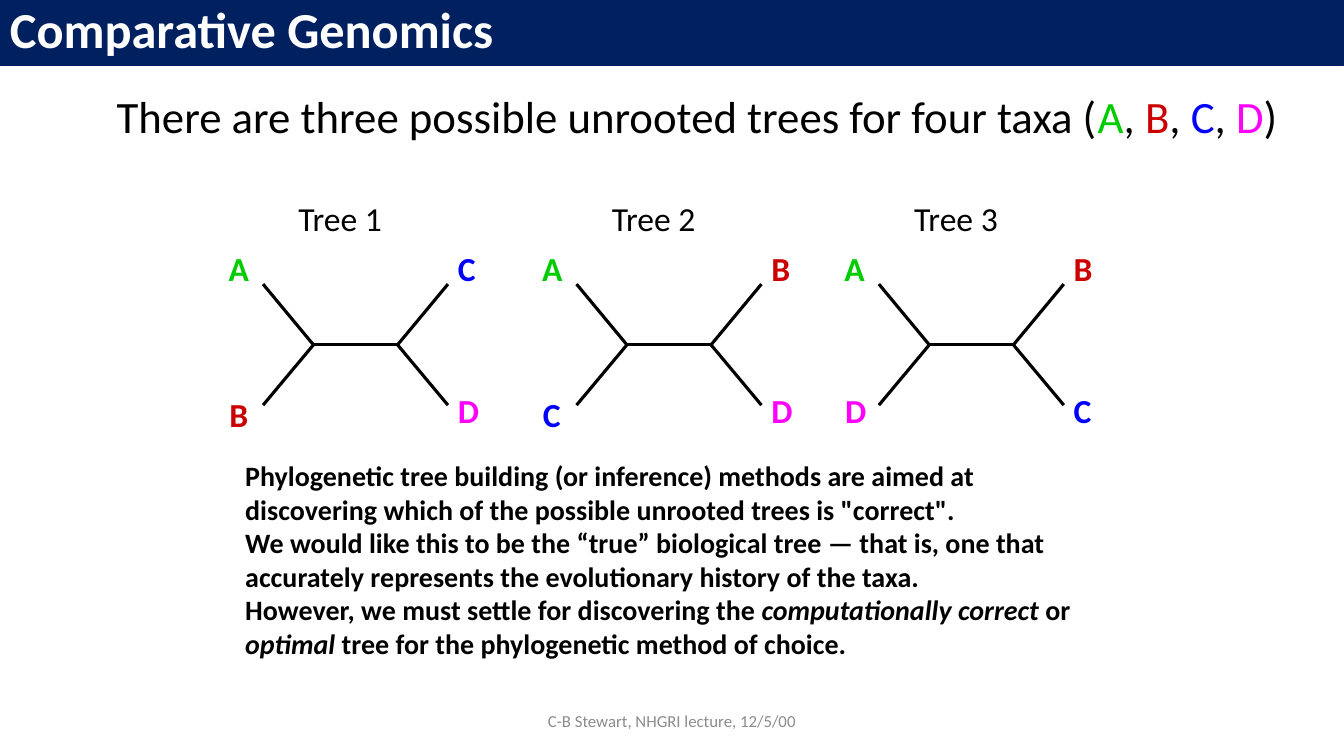
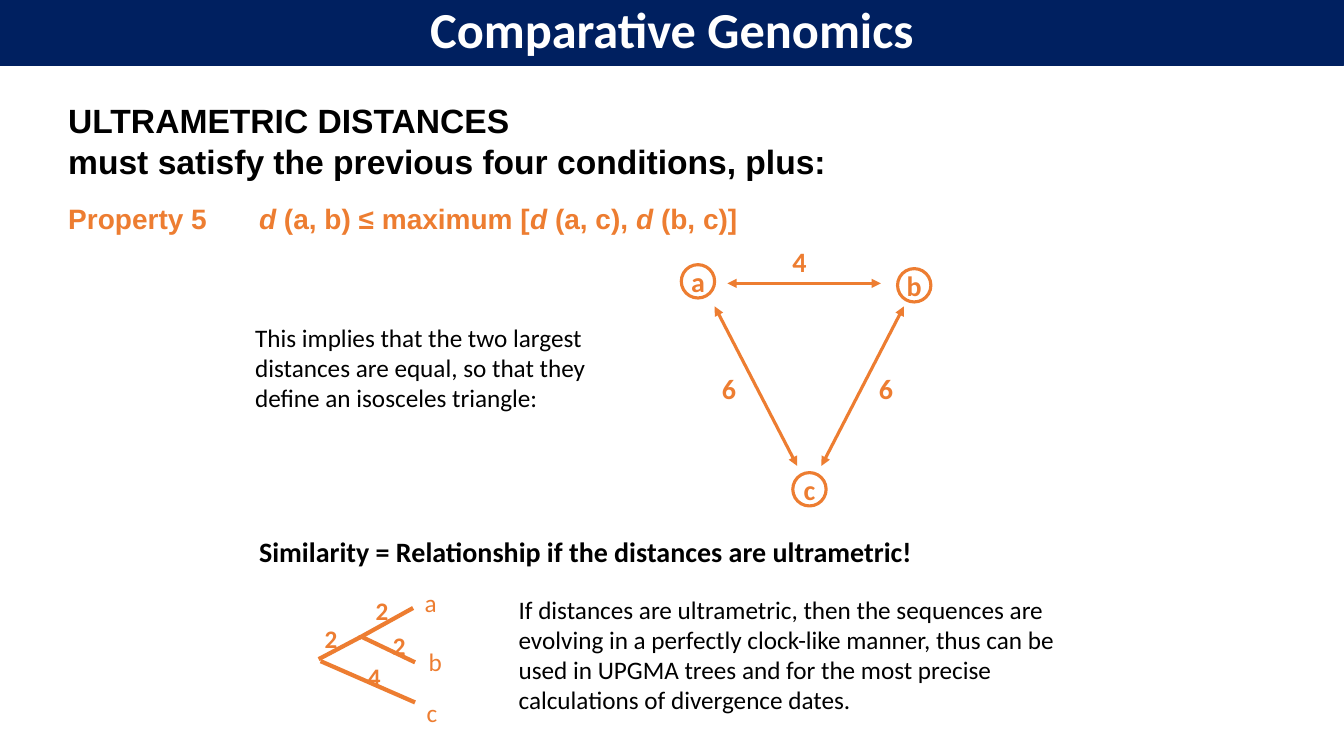
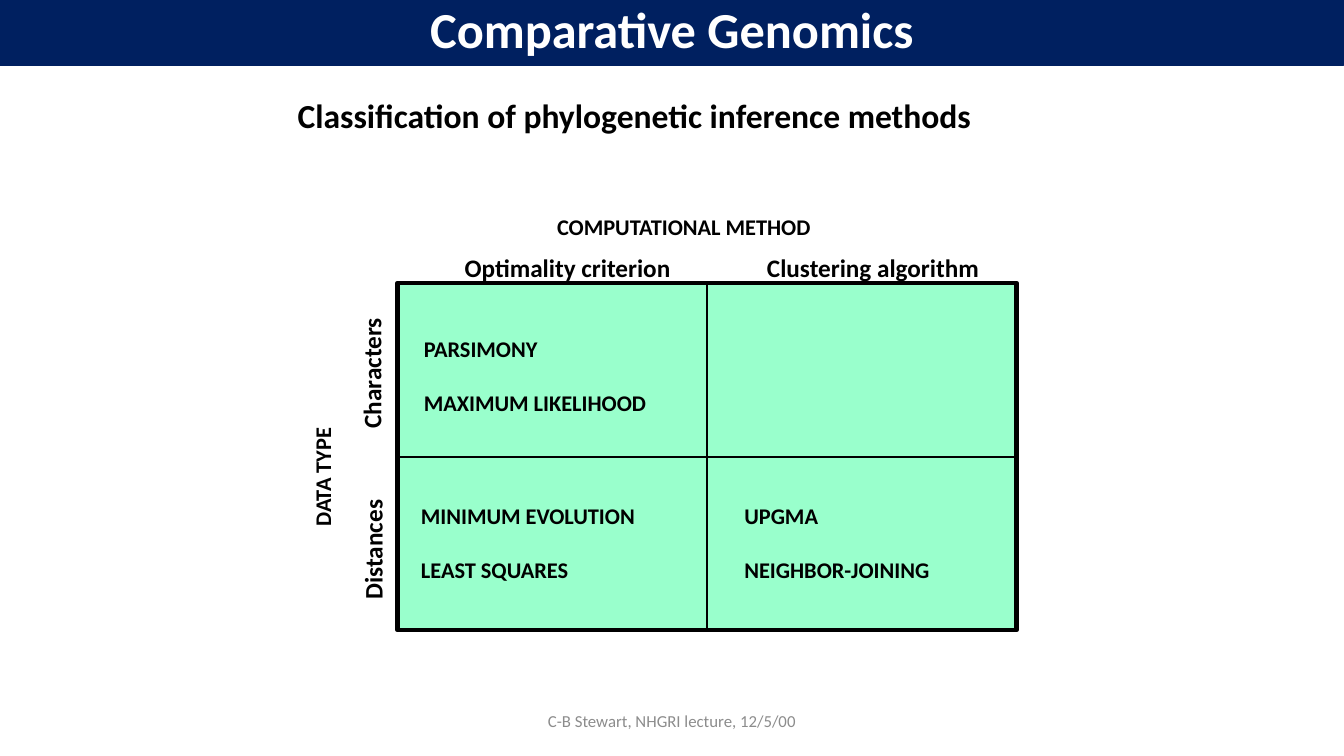
"""Build three slides on phylogenetic trees, ultrametric distances and inference methods."""
from dataclasses import dataclass, replace

import lxml.etree
import pptx
import pptx.dml.color
import pptx.enum.shapes
import pptx.enum.text
import pptx.oxml.ns
import pptx.shapes.autoshape
import pptx.shapes.connector
import pptx.slide
import pptx.text.text
import pptx.util

Cm = pptx.util.Cm
Pt = pptx.util.Pt
RGBColor = pptx.dml.color.RGBColor
Align = pptx.enum.text.PP_ALIGN
Anchor = pptx.enum.text.MSO_ANCHOR
Preset = pptx.enum.shapes.MSO_SHAPE
qn = pptx.oxml.ns.qn

WIDTH, HEIGHT = 33.87, 19.05
NAVY = RGBColor(0x00, 0x20, 0x60)
WHITE = RGBColor(0xFF, 0xFF, 0xFF)
BLACK = RGBColor(0x00, 0x00, 0x00)
GRAY = RGBColor(0x8C, 0x8C, 0x8C)
ORANGE = RGBColor(0xED, 0x7D, 0x31)
MINT = RGBColor(0x99, 0xFF, 0xCC)
TAXON_COLORS = {
    "A": RGBColor(0x00, 0xCC, 0x00),
    "B": RGBColor(0xCC, 0x00, 0x00),
    "C": RGBColor(0x00, 0x00, 0xFF),
    "D": RGBColor(0xFF, 0x00, 0xFF),
}


@dataclass(frozen=True)
class Style:
    size: float
    color: RGBColor = BLACK
    bold: bool = False
    italic: bool = False
    font: str = "Calibri"


@dataclass(frozen=True)
class Span:
    text: str
    style: Style


@dataclass(frozen=True)
class Para:
    spans: list[Span]
    space_before: float = 0
    tab: float = 0


@dataclass(frozen=True)
class Box:
    left: float
    top: float
    width: float
    height: float

    def lengths(self) -> tuple[int, ...]:
        return tuple(Cm(value) for value in (self.left, self.top, self.width, self.height))


@dataclass(frozen=True)
class Label:
    text: str
    box: Box
    style: Style
    wrap: bool = False
    rotation: int = 0


@dataclass(frozen=True)
class Segment:
    start: tuple[float, float]
    end: tuple[float, float]


@dataclass(frozen=True)
class Tree:
    name: str
    left: float
    left_taxa: str
    right_taxa: str
    lower_left_top: float


@dataclass(frozen=True)
class MethodGroup:
    methods: tuple[str, str]
    left: float
    top: float


BAND = Style(36, WHITE, bold=True)
FOOTER = Style(12, GRAY)
HEADLINE = Style(32)
BODY = Style(18)
BODY_BOLD = Style(18, bold=True)
STRONG = Style(20, bold=True)
CAPS = Style(16, bold=True)
DISTANCE = Style(20, ORANGE, bold=True)
BRANCH_LENGTH = Style(18, ORANGE, bold=True)
LEAF = Style(18, ORANGE)
CONDITIONS = Style(24, bold=True, font="Arial")
PROPERTY = Style(20, ORANGE, bold=True, font="Arial")


def emphasize(text: str, style: Style) -> list[Span]:
    """Split text at asterisks, setting every second part in italics."""
    return [Span(part, replace(style, italic=index % 2 == 1))
            for index, part in enumerate(text.split("*")) if part]


def write(frame: pptx.text.text.TextFrame, paras: list[Para],
          align: Align = Align.LEFT, spacing: float | None = None) -> None:
    """Write paragraphs run by run into a text frame."""
    for index, para in enumerate(paras):
        paragraph = frame.add_paragraph() if index else frame.paragraphs[0]
        paragraph.alignment = align
        if para.tab:
            tabs = lxml.etree.SubElement(paragraph._p.get_or_add_pPr(), qn("a:tabLst"))
            lxml.etree.SubElement(tabs, qn("a:tab"), pos=str(Cm(para.tab)), algn="l")
        if spacing:
            paragraph.line_spacing = spacing
        if para.space_before:
            paragraph.space_before = Pt(para.space_before)
        for span in para.spans:
            run = paragraph.add_run()
            run.text = span.text
            run.font.name = span.style.font
            run.font.size = Pt(span.style.size)
            run.font.bold = span.style.bold
            run.font.italic = span.style.italic
            run.font.color.rgb = span.style.color


def add_text(page: pptx.slide.Slide, box: Box, paras: list[Para], wrap: bool = True,
             anchor: Anchor = Anchor.TOP, align: Align = Align.LEFT,
             spacing: float | None = None, rotation: int = 0) -> None:
    """Add a text box."""
    text_box = page.shapes.add_textbox(*box.lengths())
    text_box.rotation = rotation
    frame = text_box.text_frame
    frame.word_wrap = wrap
    if anchor == Anchor.TOP:
        frame.auto_size = pptx.enum.text.MSO_AUTO_SIZE.SHAPE_TO_FIT_TEXT
    frame.vertical_anchor = anchor
    write(frame, paras, align, spacing)


def add_label(page: pptx.slide.Slide, label: Label) -> None:
    """Add a text box holding one line in one style."""
    add_text(page, label.box, [Para([Span(label.text, label.style)])],
             wrap=label.wrap, rotation=label.rotation)


def add_outlined(page: pptx.slide.Slide, preset: Preset, box: Box, line: RGBColor,
                 fill: RGBColor | None = None,
                 width: float = 2.25) -> pptx.shapes.autoshape.Shape:
    """Add a preset shape with a plain outline and no shadow."""
    shape = page.shapes.add_shape(preset, *box.lengths())
    shape.shadow.inherit = False
    shape.line.color.rgb = line
    shape.line.width = Pt(width)
    if fill is None:
        shape.fill.background()
    else:
        shape.fill.solid()
        shape.fill.fore_color.rgb = fill
    return shape


def add_line(page: pptx.slide.Slide, segment: Segment, color: RGBColor, width: float = 2.25,
             arrows: bool = False) -> pptx.shapes.connector.Connector:
    """Add a straight line, with arrowheads at both ends if asked."""
    line = page.shapes.add_connector(
        pptx.enum.shapes.MSO_CONNECTOR.STRAIGHT,
        *(Cm(value) for value in segment.start + segment.end))
    line.line.color.rgb = color
    line.line.width = Pt(width)
    properties = line._element.spPr
    if arrows:
        for end in ("a:headEnd", "a:tailEnd"):
            lxml.etree.SubElement(properties.find(qn("a:ln")), qn(end), type="triangle")
    lxml.etree.SubElement(properties, qn("a:effectLst"))
    return line


def add_fork(page: pptx.slide.Slide, points: list[tuple[float, float]]) -> None:
    """Add an open two-branch outline."""
    start, *rest = [(Cm(x), Cm(y)) for x, y in points]
    builder = page.shapes.build_freeform(*start, scale=1.0)
    builder.add_line_segments(rest, close=False)
    fork = builder.convert_to_shape()
    fork.shadow.inherit = False
    fork.fill.background()
    fork.line.color.rgb = BLACK
    fork.line.width = Pt(2.25)


def add_tree(page: pptx.slide.Slide, tree: Tree) -> None:
    """Add one unrooted tree with four labelled leaves."""
    top, middle, bottom = 7.16, 8.69, 10.21
    inner_left, inner_right, right = tree.left + 1.27, tree.left + 3.39, tree.left + 4.66
    add_fork(page, [(tree.left, top), (inner_left, middle), (tree.left, bottom)])
    add_fork(page, [(right, top), (inner_right, middle), (right, bottom)])
    add_line(page, Segment((inner_left, middle), (inner_right, middle)), BLACK)
    places = [(tree.left - 1.12, 6.12), (tree.left - 1.1, tree.lower_left_top),
              (right, 6.12), (right, 9.7)]
    for taxon, (x, y) in zip(tree.left_taxa + tree.right_taxa, places):
        add_label(page, Label(taxon, Box(x, y, 1, 1.27),
                              Style(24, TAXON_COLORS[taxon], bold=True)))
    add_label(page, Label(tree.name, Box(tree.left + 0.64, 4.86, 2.64, 1.27), Style(24)))


def add_band(page: pptx.slide.Slide, align: Align) -> None:
    """Add the title band."""
    band = add_outlined(page, Preset.RECTANGLE, Box(0, 0, WIDTH, 1.63), NAVY, NAVY)
    band.text_frame.vertical_anchor = Anchor.TOP
    write(band.text_frame, [Para([Span("Comparative Genomics", BAND)])], align, 0.9)


def add_footer(page: pptx.slide.Slide) -> None:
    """Add the lecture credit."""
    add_text(page, Box(11.22, 17.65, 11.43, 1.02),
             [Para([Span("C-B Stewart, NHGRI lecture, 12/5/00", FOOTER)])],
             anchor=Anchor.MIDDLE, align=Align.CENTER)


def add_matrix(page: pptx.slide.Slide, box: Box) -> None:
    """Add a framed field quartered by lines joined to the middles of its sides."""
    field = add_outlined(page, Preset.RECTANGLE, box, BLACK, MINT, 3)
    center_x, center_y = box.left + box.width / 2, box.top + box.height / 2
    right, bottom = box.left + box.width, box.top + box.height
    for segment, start_side, end_side in (
            (Segment((center_x, box.top), (center_x, bottom)), 0, 2),
            (Segment((box.left, center_y), (right, center_y)), 1, 3)):
        divider = add_line(page, segment, BLACK, 1.5)
        divider.begin_connect(field, start_side)
        divider.end_connect(field, end_side)


def build_trees(page: pptx.slide.Slide) -> None:
    """Fill the slide on unrooted trees."""
    add_footer(page)
    headline = [Span("There are three possible unrooted trees for four taxa (", HEADLINE)]
    for index, (taxon, color) in enumerate(TAXON_COLORS.items()):
        if index:
            headline.append(Span(", ", HEADLINE))
        headline.append(Span(taxon, replace(HEADLINE, color=color)))
    headline.append(Span(")", HEADLINE))
    add_text(page, Box(2.69, 1.42, 30.28, 3.18), [Para(headline)],
             anchor=Anchor.MIDDLE, spacing=0.9)
    for tree in (Tree("Tree 1", 6.63, "AB", "CD", 9.8),
                 Tree("Tree 2", 14.53, "AC", "BD", 9.8),
                 Tree("Tree 3", 22.15, "AD", "BC", 9.7)):
        add_tree(page, tree)
    statements = (
        'Phylogenetic tree building (or inference) methods are aimed at discovering '
        'which of the possible unrooted trees is "correct".',
        "We would like this to be the “true” biological tree — that is, one that "
        "accurately represents the evolutionary history of the taxa.",
        "However, we must settle for discovering the *computationally correct* or "
        "*optimal* tree for the phylogenetic method of choice.",
    )
    add_text(page, Box(5.93, 11.43, 22.23, 6.17),
             [Para(emphasize(text, STRONG)) for text in statements])
    add_band(page, Align.LEFT)


def build_ultrametric(page: pptx.slide.Slide) -> None:
    """Fill the slide on ultrametric distances."""
    add_text(page, Box(1.47, 2.4, 31.22, 3.68), [
        Para([Span("ULTRAMETRIC DISTANCES", CONDITIONS)]),
        Para([Span("must satisfy the previous four conditions, plus:", CONDITIONS)]),
        Para(emphasize("Property 5\t*d *(a, b) ≤ maximum [*d *(a, c), *d *(b, c)]", PROPERTY),
             space_before=14.8, tab=4.81),
    ])
    for name, left, top in (("a", 17.17, 6.67), ("b", 22.62, 6.77), ("c", 19.98, 11.91)):
        node = add_outlined(page, Preset.OVAL, Box(left, top, 0.84, 0.84), ORANGE)
        node.text_frame.word_wrap = False
        node.text_frame.vertical_anchor = Anchor.MIDDLE
        write(node.text_frame, [Para([Span(name, DISTANCE)])], Align.CENTER)
    for side in (Segment((18.33, 7.14), (22.2, 7.14)),
                 Segment((18.01, 7.72), (20.09, 11.74)),
                 Segment((22.78, 7.72), (20.7, 11.74))):
        add_line(page, side, ORANGE, arrows=True)
    for branch in (Segment((10.41, 15.32), (9.04, 16.08)),
                   Segment((9.12, 16.05), (10.46, 16.69)),
                   Segment((9.09, 16.05), (8.03, 16.61)),
                   Segment((8.08, 16.66), (10.46, 17.7))):
        add_line(page, branch, ORANGE, width=3)
    for text, left, top, style in (
            ("4", 19.72, 6.03, DISTANCE), ("6", 21.9, 9.23, DISTANCE),
            ("6", 17.94, 9.23, DISTANCE),
            ("a", 10.45, 14.68, LEAF), ("b", 10.55, 16.15, LEAF), ("c", 10.5, 17.45, LEAF),
            ("2", 9.22, 14.88, BRANCH_LENGTH), ("2", 9.65, 15.77, BRANCH_LENGTH),
            ("2", 7.93, 15.59, BRANCH_LENGTH), ("4", 9.02, 16.54, BRANCH_LENGTH)):
        width, height = (0.91, 1.09) if style == DISTANCE else (0.83, 1.02)
        add_label(page, Label(text, Box(left, top, width, height), style))
    for label in (
            Label("This implies that the two largest distances are equal, so that they "
                  "define an isosceles triangle:", Box(6.18, 7.99, 9.86, 2.54), BODY, wrap=True),
            Label("Similarity = Relationship if the distances are ultrametric!",
                  Box(6.28, 13.34, 17.09, 1.12), STRONG),
            Label("If distances are ultrametric, then the sequences are evolving in a "
                  "perfectly clock-like manner, thus can be used in UPGMA trees and for the "
                  "most precise calculations of divergence dates.",
                  Box(12.82, 14.84, 14.63, 3.3), BODY, wrap=True)):
        add_label(page, label)
    add_band(page, Align.CENTER)


def build_methods(page: pptx.slide.Slide) -> None:
    """Fill the slide on inference methods."""
    add_footer(page)
    add_matrix(page, Box(10.02, 7.13, 15.6, 8.75))
    for group in (MethodGroup(("PARSIMONY", "MAXIMUM LIKELIHOOD"), 10.43, 8.33),
                  MethodGroup(("MINIMUM EVOLUTION", "LEAST SQUARES"), 10.36, 12.53),
                  MethodGroup(("UPGMA", "NEIGHBOR-JOINING"), 18.51, 12.53)):
        add_text(page, Box(group.left, group.top, 7.9, 2.29),
                 [Para([Span(method, CAPS)], 19 if index else 0)
                  for index, method in enumerate(group.methods)])
    for label in (
            Label("Classification of phylogenetic inference methods",
                  Box(7.25, 2.27, 17.68, 1.27), Style(24, bold=True)),
            Label("COMPUTATIONAL METHOD", Box(13.79, 5.25, 9.14, 0.94), CAPS, wrap=True),
            Label("Optimality criterion", Box(11.46, 6.23, 5.74, 1.02), BODY_BOLD),
            Label("Clustering algorithm", Box(19.08, 6.23, 5.89, 1.02), BODY_BOLD),
            Label("DATA TYPE", Box(6.12, 11.04, 4.01, 0.94), CAPS, True, 270),
            Label("Characters", Box(7.47, 8.65, 3.78, 1.02), BODY_BOLD, True, 270),
            Label("Distances", Box(7.87, 13.32, 3.05, 1.02), BODY_BOLD, False, 270)):
        add_label(page, label)
    add_band(page, Align.CENTER)


def main() -> None:
    """Build and save the deck."""
    deck = pptx.Presentation()
    deck.slide_width, deck.slide_height = Cm(WIDTH), Cm(HEIGHT)
    for build in (build_trees, build_ultrametric, build_methods):
        build(deck.slides.add_slide(deck.slide_layouts[6]))
    deck.save("out.pptx")


if __name__ == "__main__":
    main()
